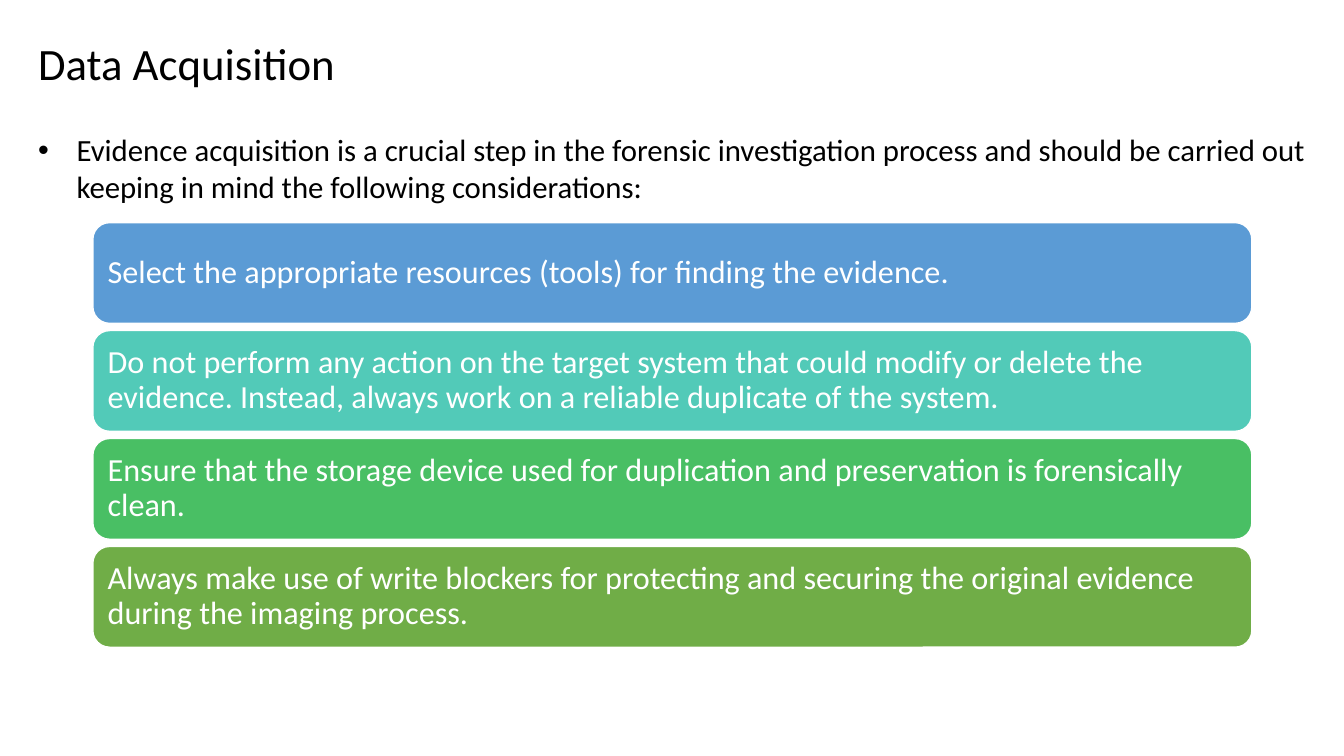
import lxml.etree
import pptx
import pptx.dml.color
import pptx.enum.shapes
import pptx.enum.text
import pptx.oxml.ns
import pptx.util

Cm = pptx.util.Cm
Pt = pptx.util.Pt
Align = pptx.enum.text.PP_ALIGN
Anchor = pptx.enum.text.MSO_ANCHOR
RGBColor = pptx.dml.color.RGBColor

BLACK = RGBColor(0x00, 0x00, 0x00)
WHITE = RGBColor(0xFF, 0xFF, 0xFF)
BLUE = RGBColor(0x5B, 0x9B, 0xD5)
TEAL = RGBColor(0x52, 0xCA, 0xB8)
GREEN = RGBColor(0x49, 0xBF, 0x64)
OLIVE = RGBColor(0x70, 0xAD, 0x47)

TITLE = "Data Acquisition"
INTRO = (
    "Evidence acquisition is a crucial step in the forensic investigation process "
    "and should be carried out keeping in mind the following considerations:"
)
CONSIDERATIONS = [
    (BLUE, "Select the appropriate resources (tools) for finding the evidence."),
    (TEAL, "Do not perform any action on the target system that could modify or delete "
           "the evidence. Instead, always work on a reliable duplicate of the system."),
    (GREEN, "Ensure that the storage device used for duplication and preservation is "
            "forensically clean."),
    (OLIVE, "Always make use of write blockers for protecting and securing the original "
            "evidence during the imaging process."),
]

MARGIN_LEFT, TEXT_WIDTH = Cm(0.71), Cm(32.44)
BAR_LEFT, BAR_TOP, BAR_WIDTH, BAR_HEIGHT = Cm(2.34), Cm(5.61), Cm(29.21), Cm(2.54)
BAR_PITCH = Cm(2.72)
BAR_INSET = Cm(0.25)
BULLET_INDENT = Cm(0.97)


def apply_format(target, values):
    """Set every attribute named in values on the target."""
    for name, value in values.items():
        setattr(target, name, value)


def write_text(box, text, size, color, frame_format, para_format):
    """Fill a box with one formatted paragraph and return the paragraph."""
    apply_format(box.text_frame, {"word_wrap": True, **frame_format})
    para = box.text_frame.paragraphs[0]
    apply_format(para, para_format)
    span = para.add_run()
    span.text = text
    apply_format(span.font, {"name": "Calibri", "size": Pt(size)})
    span.font.color.rgb = color
    return para


def add_bullet(para):
    """Give a paragraph a round bullet with a hanging indent."""
    properties = para._p.get_or_add_pPr()
    properties.set("marL", str(BULLET_INDENT))
    properties.set("indent", str(-BULLET_INDENT))
    for tag, key, value in (("a:buFont", "typeface", "Arial"), ("a:buChar", "char", "•")):
        lxml.etree.SubElement(properties, pptx.oxml.ns.qn(tag)).set(key, value)


def add_title(page):
    """Add the slide heading."""
    box = page.shapes.add_textbox(MARGIN_LEFT, 0, TEXT_WIDTH, Cm(3.18))
    write_text(box, TITLE, 32, BLACK, {"vertical_anchor": Anchor.MIDDLE}, {})


def add_intro(page):
    """Add the bulleted sentence above the bars."""
    box = page.shapes.add_textbox(MARGIN_LEFT, Cm(3.18), TEXT_WIDTH, Cm(13.59))
    para_format = {"alignment": Align.JUSTIFY, "space_after": Pt(12)}
    add_bullet(write_text(box, INTRO, 22, BLACK, {}, para_format))


def add_bar(page, position, color, text):
    """Add one rounded bar at its position in the stack."""
    bar = page.shapes.add_shape(
        pptx.enum.shapes.MSO_SHAPE.ROUNDED_RECTANGLE,
        BAR_LEFT, BAR_TOP + position * BAR_PITCH, BAR_WIDTH, BAR_HEIGHT,
    )
    bar.shadow.inherit = False
    bar.fill.solid()
    bar.fill.fore_color.rgb = color
    bar.line.color.rgb = WHITE
    bar.line.width = Pt(1)
    sides = ("left", "top", "right", "bottom")
    frame_format = {f"margin_{side}": BAR_INSET for side in sides}
    frame_format["vertical_anchor"] = Anchor.MIDDLE
    para_format = {"alignment": Align.LEFT, "line_spacing": 0.9}
    write_text(bar, text, 23, WHITE, frame_format, para_format)


def main():
    """Build the slide and save the deck."""
    deck = pptx.Presentation()
    apply_format(deck, {"slide_width": Cm(33.87), "slide_height": Cm(19.05)})
    page = deck.slides.add_slide(deck.slide_layouts[6])
    add_title(page)
    add_intro(page)
    for position, (color, text) in enumerate(CONSIDERATIONS):
        add_bar(page, position, color, text)
    deck.save("out.pptx")


if __name__ == "__main__":
    main()
